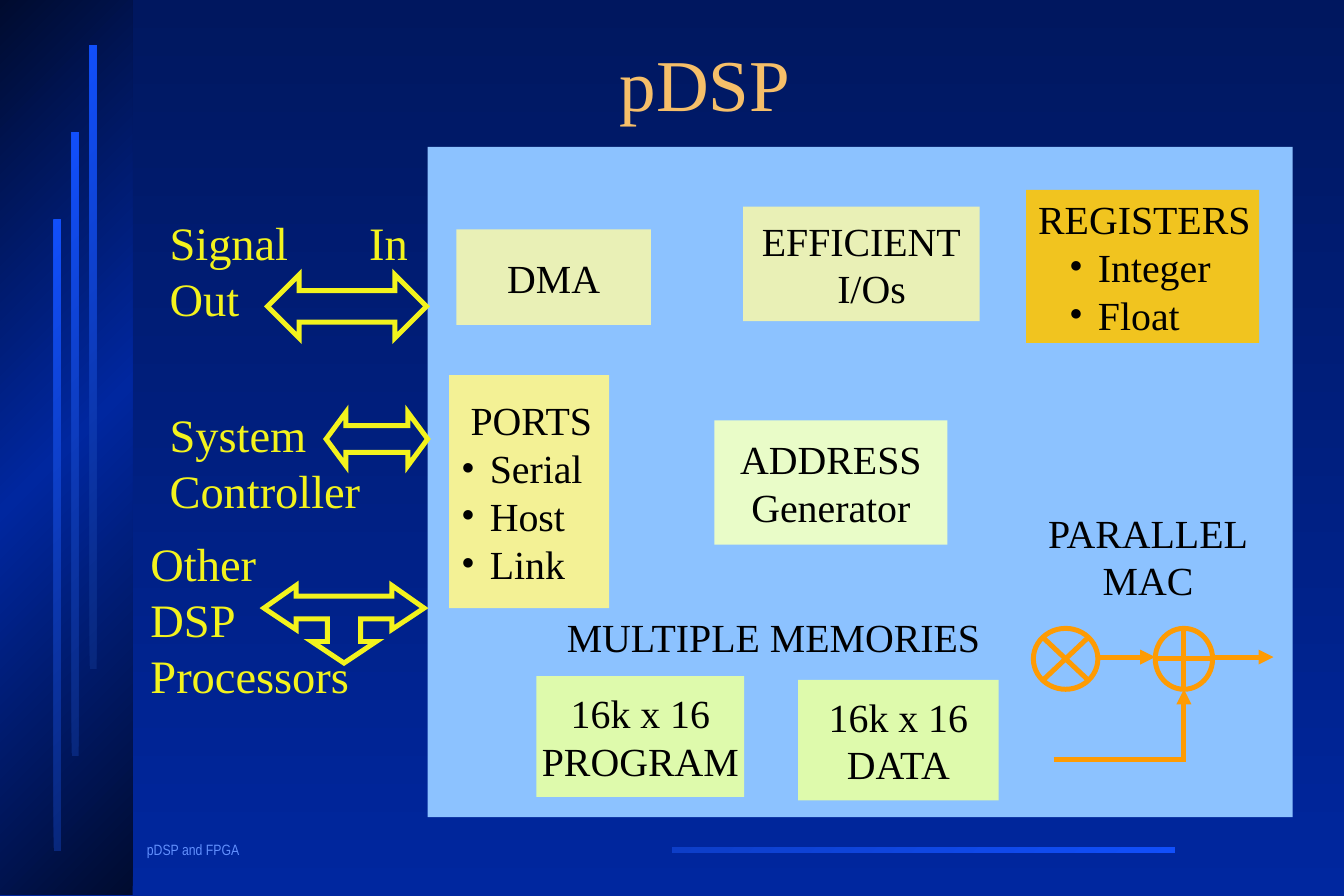
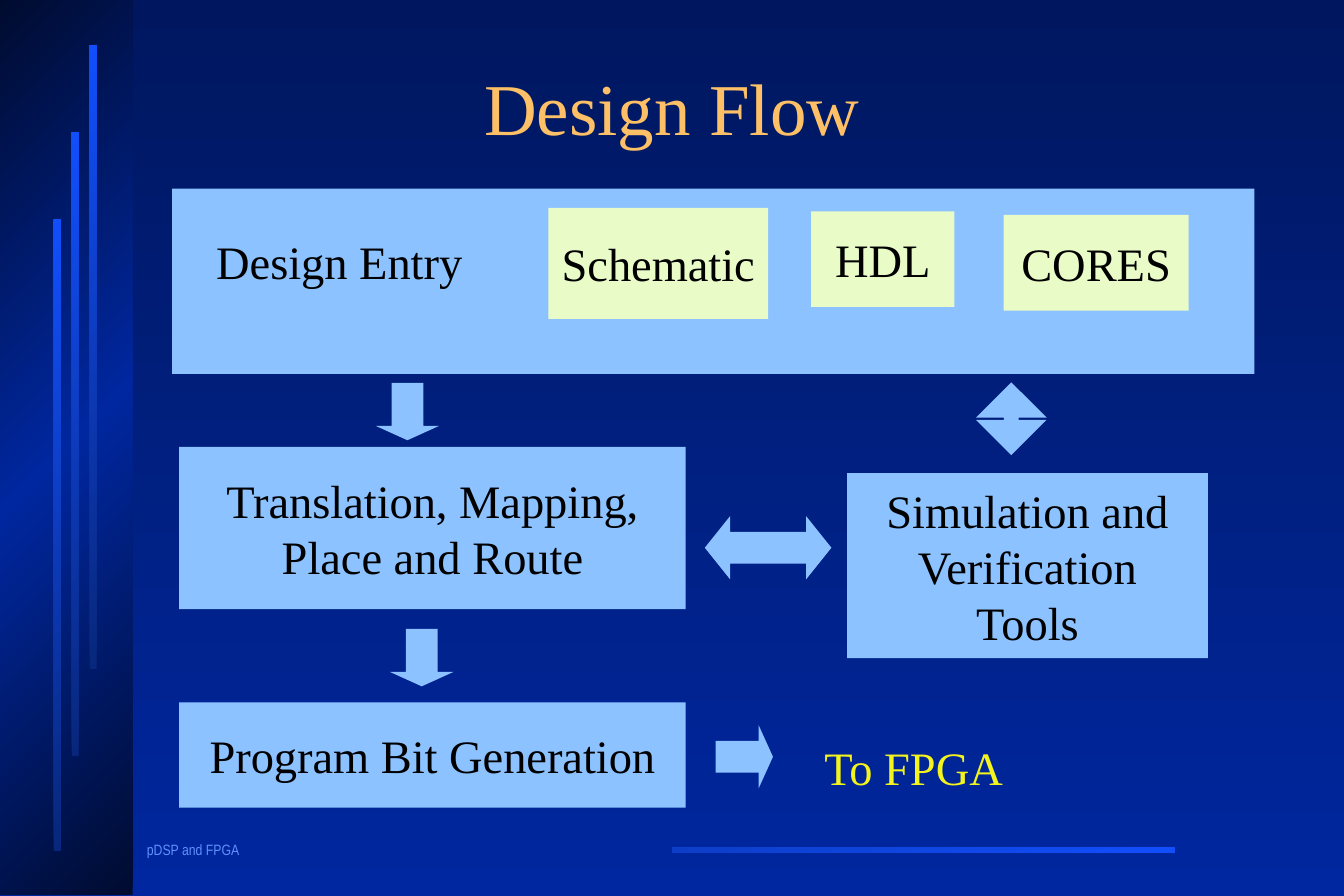
from copy import deepcopy
from lxml import etree
from pptx import Presentation
from pptx.dml.color import RGBColor
from pptx.enum import shapes, text
from pptx.oxml.ns import qn
from pptx.util import Inches, Pt

KIND = shapes.MSO_SHAPE
ALIGN = text.PP_ALIGN
ANCHOR = text.MSO_ANCHOR
SERIF = "Times New Roman"
HUES = {
    "night": "00175F", "royal": "00279F", "ink": "000B2F",
    "deep": "08277C", "bright": "114FFB", "mid": "0D3EC8",
    "foot": "618FFD", "gold": "F6BF69", "peach": "FEC066",
    "sky": "8CC2FF", "lemon": "F3F31D", "orange": "FE9B03",
    "amber": "F1C41F", "cream": "F3F195", "khaki": "E9F0B6",
    "mint": "E9FCC8", "lime": "DEFAAC", "black": "000000",
}


def hue(name):
    return RGBColor.from_string(HUES[name])


def blend(node, fill, names, angle):
    fill.gradient()
    fill.gradient_angle = 360 - angle
    stops = next(node.iter(qn("a:gsLst")))
    for _ in names[2:]:
        stops.insert(1, deepcopy(stops[0]))
    for i, (stop, name) in enumerate(zip(fill.gradient_stops, names)):
        stop.position = i / (len(names) - 1)
        stop.color.rgb = hue(name)


def stroke(shape, name, tail=False):
    shape.line.color.rgb = hue(name)
    shape.line.width = Pt(3)
    ln = next(shape.element.iter(qn("a:ln")))
    etree.SubElement(ln, qn("a:miter"), lim="800000")
    if tail:
        etree.SubElement(ln, qn("a:tailEnd"), type="triangle")


def paint(shape, fill=None, line=None, tail=False):
    shape.shadow.inherit = False
    if fill:
        shape.fill.solid()
        shape.fill.fore_color.rgb = hue(fill)
    else:
        shape.fill.background()
    if line:
        stroke(shape, line, tail)
    else:
        shape.line.fill.background()


def form(slide, kind, box, fill=None, line=None, adj=()):
    shape = slide.shapes.add_shape(kind, *map(Inches, box))
    for i, part in enumerate(adj):
        shape.adjustments[i] = part
    paint(shape, fill, line)
    return shape


def say(para, words, size, color, font=SERIF):
    run = para.add_run()
    run.text = words
    run.font.size = Pt(size)
    run.font.name = font
    run.font.color.rgb = hue(color)


def inset(frame):
    frame.word_wrap = True
    frame.margin_left = frame.margin_right = 0
    frame.margin_top = frame.margin_bottom = 0


def write(frame, rows, size, color, align):
    inset(frame)
    for i, row in enumerate(rows):
        words, left, dot = row if isinstance(row, tuple) else (row, 0, False)
        para = frame.paragraphs[0] if i == 0 else frame.add_paragraph()
        para.alignment = align
        say(para, words, size, color)
        props = para._p.get_or_add_pPr()
        if left:
            props.set("marL", str(Inches(left)))
        if dot:
            props.set("indent", str(-Inches(0.24)))
            etree.SubElement(props, qn("a:buFont"), typeface=SERIF)
            etree.SubElement(props, qn("a:buChar"), char="•")


def chip(slide, box, fill, rows, size=24, align=ALIGN.CENTER):
    shape = form(slide, KIND.RECTANGLE, box, fill)
    shape.text_frame.vertical_anchor = ANCHOR.MIDDLE
    write(shape.text_frame, rows, size, "black", align)


def note(slide, box, rows):
    area = slide.shapes.add_textbox(*map(Inches, box))
    write(area.text_frame, rows, 28, "lemon", ALIGN.LEFT)
    return area.text_frame


def wire(slide, x, y, end):
    line = slide.shapes.add_connector(
        shapes.MSO_CONNECTOR.STRAIGHT, *map(Inches, (x, y, end, y)))
    stroke(line, "orange", True)
    etree.SubElement(line.element.spPr, qn("a:effectLst"))


def trace(slide, points, closed):
    dots = [(Inches(x), Inches(y)) for x, y in points]
    path = slide.shapes.build_freeform(*dots[0])
    path.add_line_segments(dots[1:], close=closed)
    return path.convert_to_shape()


def base(deck, words, box, color):
    slide = deck.slides.add_slide(deck.slide_layouts[5])
    blend(slide.element, slide.background.fill, ("night", "royal"), 90)
    bars = [((5.63, 7.09, 4.21, 0.05), ("bright", "mid")),
            ((0, 0, 1.11, 7.49), ("ink", "royal", "ink"))]
    bars += [((0.45 + 0.15 * i, 1.84 - 0.73 * i, 0.06, tall), ("deep", "bright"))
             for i, tall in enumerate((5.28, 5.22, 5.22))]
    for place, names in bars:
        bar = form(slide, KIND.RECTANGLE, place)
        blend(bar.element, bar.fill, names, 225)
    foot = slide.shapes.add_textbox(*map(Inches, (1.23, 7.05, 1.3, 0.15)))
    inset(foot.text_frame)
    para = foot.text_frame.paragraphs[0]
    para.line_spacing = 0.9
    say(para, "pDSP and FPGA", 9, "foot", "Arial Narrow")

    title = slide.shapes.title
    title.left, title.top, title.width, title.height = map(Inches, box)
    frame = title.text_frame
    frame.auto_size = text.MSO_AUTO_SIZE.NONE
    frame.vertical_anchor = ANCHOR.MIDDLE
    para = frame.paragraphs[0]
    para.alignment = ALIGN.CENTER
    para.line_spacing = 0.85
    say(para, words, 44, color)
    return slide


def links(slide, x, y):
    head = note(slide, (x + 0.16, y, 2.1, 0.93), ["Signal\tIn", "Out"])
    props = head.paragraphs[0]._p.get_or_add_pPr()
    tabs = etree.SubElement(props, qn("a:tabLst"))
    etree.SubElement(tabs, qn("a:tab"), pos=str(Inches(1.67)), algn="l")
    note(slide, (x + 0.16, y + 1.61, 1.8, 0.94), ["System", "Controller"])
    note(slide, (x, y + 2.69, 1.8, 1.4), ["Other", "DSP", "Processors"])
    for box, tip in (((x + 0.98, y + 0.51, 1.33, 0.53), 0.5),
                     ((x + 1.47, y + 1.66, 0.85, 0.45), 0.37)):
        form(slide, KIND.LEFT_RIGHT_ARROW, box, line="lemon", adj=(0.5, tip))
    half = [(0.27, 0.75), (0.14, 0.75), (0.14, 0.56), (0.4, 0.56),
            (0.4, 0.65), (0.67, 0.47), (0.4, 0.28), (0.4, 0.37)]
    ring = [(0, 0.93)] + half + [(-a, b) for a, b in reversed(half)]
    fork = trace(slide, [(x + 1.62 + a, y + 2.83 + b) for a, b in ring], True)
    paint(fork, line="lemon")


def mac(slide, x, y):
    chip(slide, (x + 0.04, y, 1.84, 0.85), "sky", ["PARALLEL", "MAC"])
    for kind, left, wide in ((KIND.FLOWCHART_SUMMING_JUNCTION, 0, 0.54),
                             (KIND.FLOWCHART_OR, 1.02, 0.48)):
        form(slide, kind, (x + left, y + 1.03, wide, 0.51), "sky", "orange")
    for start, end in ((0.54, 1.02), (1.5, 2.01)):
        wire(slide, x + start, y + 1.27, x + end)
    bend = ((0.17, 2.13), (1.26, 2.13), (1.26, 1.54))
    feed = trace(slide, [(x + a, y + b) for a, b in bend], False)
    paint(feed, line="orange", tail=True)


def core(slide, x, y, w, h):
    form(slide, KIND.RECTANGLE, (x, y, w, h), "sky")
    parts = [
        ((0.24, 0.69, 1.63, 0.8), "khaki", ["DMA"]),
        ((2.64, 0.5, 1.98, 0.96), "khaki", ["EFFICIENT", ("I/Os", 0.17, False)]),
        ((2.4, 2.29, 1.95, 1.04), "mint", ["ADDRESS", "Generator"]),
        ((1.12, 3.87, 3.55, 0.45), "sky", ["MULTIPLE MEMORIES"]),
        ((0.91, 4.43, 1.74, 1.01), "lime", ["16k x 16", "PROGRAM"]),
        ((3.1, 4.46, 1.68, 1.01), "lime", ["16k x 16", "DATA"]),
    ]
    lists = [
        ((5.01, 0.36, 1.95, 1.28), "amber", "REGISTERS", 0.1, 0.6,
         ("Integer", "Float")),
        ((0.18, 1.91, 1.34, 1.95), "cream", "PORTS", 0.18, 0.34,
         ("Serial", "Host", "Link")),
    ]
    for (a, b, wide, tall), fill, rows in parts:
        chip(slide, (x + a, y + b, wide, tall), fill, rows)
    for (a, b, wide, tall), fill, head, left, hang, items in lists:
        rows = [(head, left, False)] + [(item, hang, True) for item in items]
        chip(slide, (x + a, y + b, wide, tall), fill, rows, align=ALIGN.LEFT)
    mac(slide, x + 5.07, y + 3)


def entry(slide, x, y, w, h):
    form(slide, KIND.RECTANGLE, (x, y, w, h), "sky")
    for (a, b, wide, tall), fill, words in (
            ((0.08, 0.24, 2.64, 0.72), "sky", "Design Entry"),
            ((3.15, 0.16, 1.84, 0.93), "mint", "Schematic"),
            ((5.35, 0.19, 1.2, 0.8), "mint", "HDL"),
            ((6.96, 0.22, 1.55, 0.8), "mint", "CORES")):
        chip(slide, (x + a, y + b, wide, tall), fill, [words], 28)


def steps(slide, x, y):
    for (a, b, wide, tall), rows in (
            ((0, 0.56, 4.24, 1.36), ["Translation, Mapping,", "Place and Route"]),
            ((0, 2.7, 4.24, 0.88), ["Program Bit Generation"]),
            ((5.59, 0.78, 3.02, 1.55), ["Simulation and", "Verification", "Tools"])):
        chip(slide, (x + a, y + b, wide, tall), "sky", rows, 28)
    for a, b, turn in ((1.67, 0, 90), (1.79, 2.06, 90), (4.49, 2.89, 0)):
        arrow = form(slide, KIND.RIGHT_ARROW, (x + a, y + b, 0.48, 0.53),
                     "sky", adj=(0.5, 0.25))
        arrow.rotation = turn
    form(slide, KIND.UP_DOWN_ARROW, (x + 6.67, y + 0.02, 0.59, 0.61),
         "sky", adj=(0.5, 0.21))
    form(slide, KIND.LEFT_RIGHT_ARROW, (x + 4.4, y + 1.14, 1.06, 0.53),
         "sky", adj=(0.5, 0.4))
    note(slide, (x + 5.4, y + 3.01, 1.6, 0.47), ["To FPGA"])


def main():
    deck = Presentation()
    deck.slide_width, deck.slide_height = Inches(11.25), Inches(7.5)
    chart = base(deck, "pDSP", (1.45, 0.32, 8.9, 0.85), "gold")
    core(chart, 3.58, 1.23, 7.24, 5.61)
    links(chart, 1.26, 1.79)
    flow = base(deck, "Design Flow", (1.16, 0.32, 8.93, 1.25), "peach")
    entry(flow, 1.44, 1.58, 9.06, 1.55)
    steps(flow, 1.5, 3.18)
    deck.save("out.pptx")


if __name__ == "__main__":
    main()
